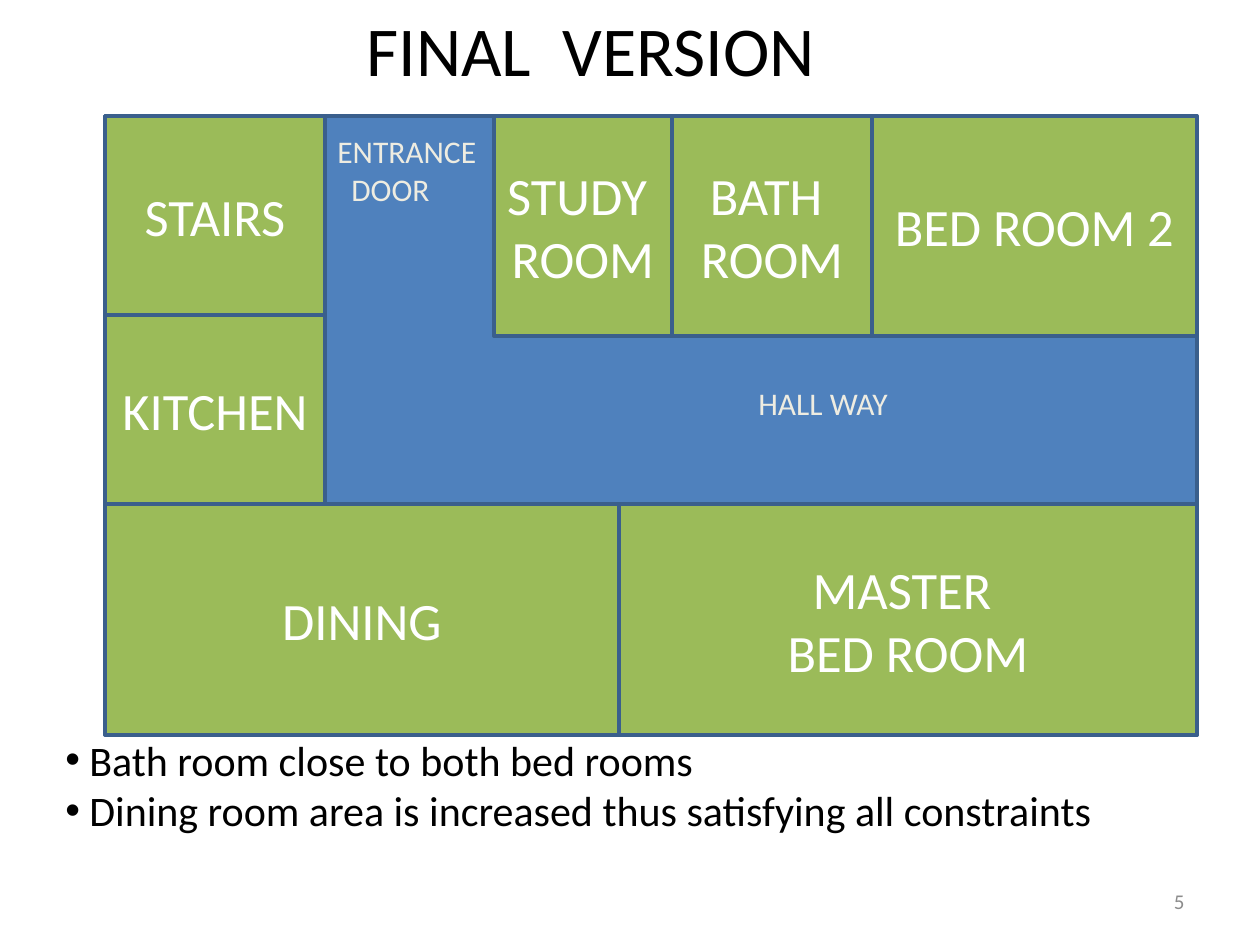
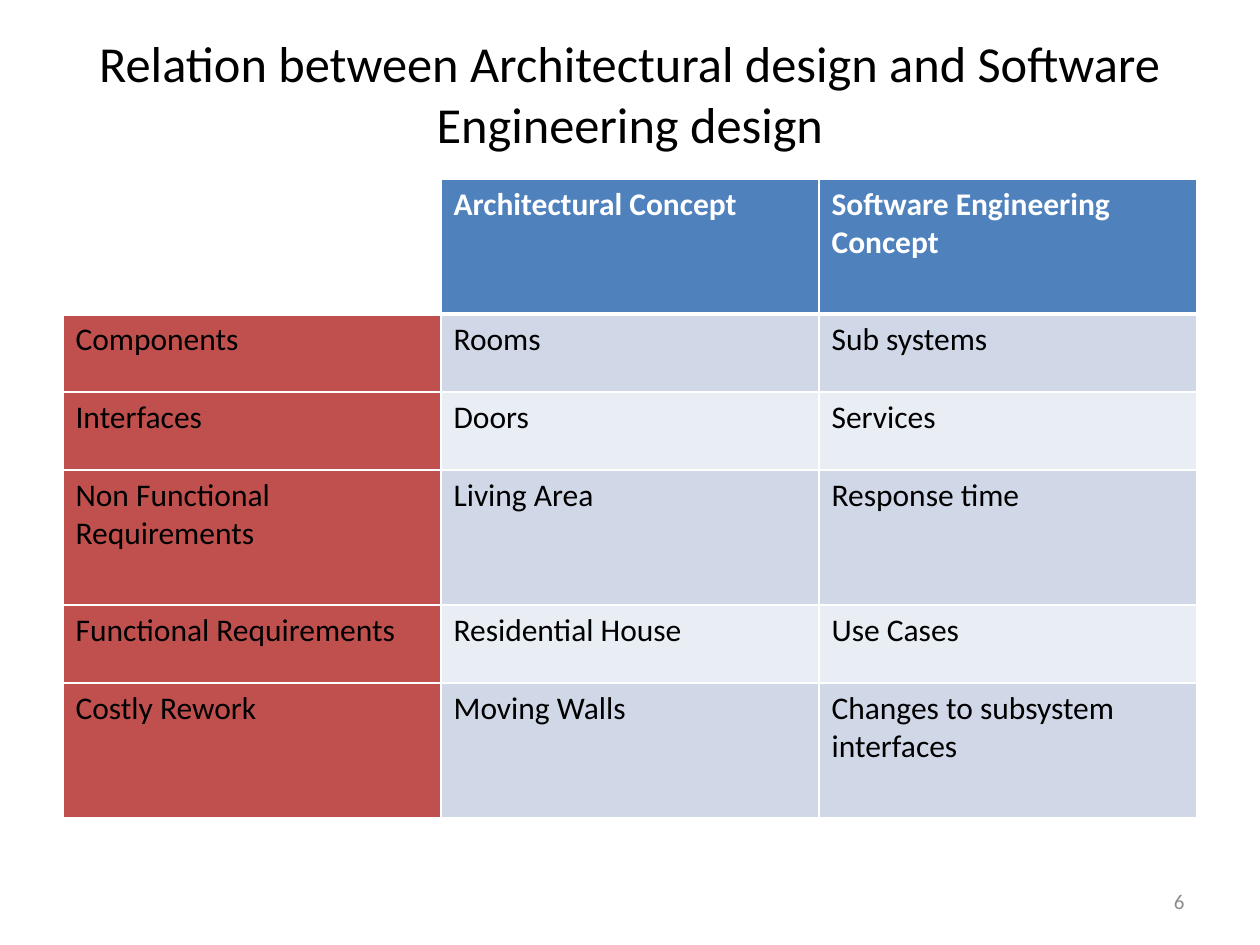
"""Build the house floor plan slide and the design comparison slide."""
from lxml import etree
from pptx import Presentation
from pptx import util as u
from pptx.dml import color
from pptx.enum import shapes, text
from pptx.oxml import ns

PIXEL = 914400 / 126
WHITE = color.RGBColor(0xFF, 0xFF, 0xFF)
BLACK = color.RGBColor(0x00, 0x00, 0x00)
CREAM = color.RGBColor(0xEE, 0xEC, 0xE1)
GREY = color.RGBColor(0x8C, 0x8C, 0x8C)
BLUE = color.RGBColor(0x4F, 0x81, 0xBD)
OUTLINE = color.RGBColor(0x3A, 0x5F, 0x8C)
GREEN = color.RGBColor(0x9B, 0xBB, 0x59)
RED = color.RGBColor(0xC0, 0x50, 0x4D)
BANDS = color.RGBColor(0xD0, 0xD8, 0xE8), color.RGBColor(0xE9, 0xED, 0xF4)

LEFT, ALCOVE, STUDY, BATH, BEDROOM, RIGHT = 105, 325, 494, 672, 872, 1197
TOP, KITCHEN, HALL, LOWER, BOTTOM = 116, 315, 336, 504, 735
MASTER = 619
ROOMS = [
    (LEFT, TOP, ALCOVE, KITCHEN, ["STAIRS"]),
    (LEFT, KITCHEN, ALCOVE, LOWER, ["KITCHEN"]),
    (LEFT, LOWER, MASTER, BOTTOM, ["DINING"]),
    (MASTER, LOWER, RIGHT, BOTTOM, ["MASTER ", "BED ROOM"]),
    (STUDY, TOP, BATH, HALL, ["STUDY ", "ROOM"]),
    (BATH, TOP, BEDROOM, HALL, ["BATH ", "ROOM"]),
    (BEDROOM, TOP, RIGHT, HALL, ["BED ROOM 2"]),
]
REMARKS = [
    "Bath room close to both bed rooms",
    "Dining room area is increased thus satisfying all constraints",
]
COMPARISON = [
    ("", "Architectural Concept", "Software Engineering Concept"),
    ("Components", "Rooms", "Sub systems"),
    ("Interfaces", "Doors", "Services"),
    ("Non Functional Requirements", "Living Area", "Response time"),
    ("Functional Requirements", "Residential House", "Use Cases"),
    ("Costly Rework", "Moving Walls", "Changes to subsystem interfaces"),
]
ROW_HEIGHTS = 135, 78, 78, 135, 78, 135
COLUMN_WIDTH = 378

CENTER, RIGHT_ALIGN = text.PP_ALIGN.CENTER, text.PP_ALIGN.RIGHT
MIDDLE = text.MSO_ANCHOR.MIDDLE


def px(length):
    """Turn pixels into EMU."""
    return u.Emu(round(length * PIXEL))


def apply(target, values):
    """Set each named attribute of the target."""
    for name, value in values.items():
        setattr(target, name, value)


def write(frame, lines, size, ink, align=None, bold=False):
    """Write the lines as paragraphs in one text style."""
    for index, line in enumerate(lines):
        paragraph = frame.paragraphs[0] if index == 0 else frame.add_paragraph()
        if align is not None:
            paragraph.alignment = align
        run = paragraph.add_run()
        run.text = line
        apply(run.font, {"name": "Calibri", "size": u.Pt(size), "bold": bold})
        run.font.color.rgb = ink


def add_label(slide, box, lines, size, ink, align=None, anchor=None, wrap=False):
    """Add a text box and return its frame."""
    frame = slide.shapes.add_textbox(*map(px, box)).text_frame
    apply(frame, {"word_wrap": wrap, "vertical_anchor": anchor})
    write(frame, lines, size, ink, align)
    return frame


def add_title(slide, box, title, size, **layout):
    """Add a black slide title."""
    add_label(slide, box, [title], size, BLACK, **layout)


def add_page_number(slide, number):
    """Add the grey page number at the lower right."""
    add_label(slide, (903, 876, 294, 50), [str(number)], 12, GREY,
              RIGHT_ALIGN, MIDDLE, True)


def add_room(slide, left, top, right, bottom, lines, fill):
    """Add an outlined floor area with its name."""
    room = slide.shapes.add_shape(
        shapes.MSO_SHAPE.RECTANGLE,
        *map(px, (left, top, right - left, bottom - top)))
    room.shadow.inherit = False
    room.fill.solid()
    room.fill.fore_color.rgb = fill
    room.line.color.rgb = OUTLINE
    room.line.width = u.Pt(2)
    room.text_frame.vertical_anchor = MIDDLE
    write(room.text_frame, lines, 30, WHITE, CENTER)


def indent(paragraph, margin, first_line=0):
    """Set the left margin and first-line offset, returning the properties."""
    properties = paragraph._p.get_or_add_pPr()
    properties.set("marL", str(px(margin)))
    properties.set("indent", str(px(first_line)))
    return properties


def add_bullets(slide, box, lines):
    """Add a bulleted list."""
    frame = add_label(slide, box, lines, 24, BLACK, wrap=True)
    for paragraph in frame.paragraphs:
        properties = indent(paragraph, 24, -24)
        etree.SubElement(properties, ns.qn("a:buFont")).set("typeface", "Arial")
        etree.SubElement(properties, ns.qn("a:buChar")).set("char", "\u2022")


def set_borders(cell, widths):
    """Give the cell white borders with the widths of its sides."""
    properties = cell._tc.get_or_add_tcPr()
    for position, (side, width) in enumerate(widths.items()):
        border = etree.Element(ns.qn(f"a:ln{side}"), w=str(u.Pt(width)))
        fill = etree.SubElement(border, ns.qn("a:solidFill"))
        etree.SubElement(fill, ns.qn("a:srgbClr")).set("val", str(WHITE))
        properties.insert(position, border)


def paint_cell(cell, row, column):
    """Fill a comparison cell by its place in the table."""
    if row == column == 0:
        cell.fill.background()
        return
    cell.fill.solid()
    if row == 0:
        cell.fill.fore_color.rgb = BLUE
    else:
        cell.fill.fore_color.rgb = RED if column == 0 else BANDS[(row - 1) % 2]


def add_comparison(slide, left, top):
    """Add the table that compares the two kinds of design."""
    columns = len(COMPARISON[0])
    table = slide.shapes.add_table(
        len(COMPARISON), columns, px(left), px(top),
        px(COLUMN_WIDTH * columns), px(sum(ROW_HEIGHTS))).table
    apply(table, {"first_row": False, "horz_banding": False})
    for column in table.columns:
        column.width = px(COLUMN_WIDTH)
    for row, (height, entries) in enumerate(zip(ROW_HEIGHTS, COMPARISON)):
        table.rows[row].height = px(height)
        header = row == 0
        for column, entry in enumerate(entries):
            cell = table.cell(row, column)
            paint_cell(cell, row, column)
            set_borders(cell, {"L": 1, "R": 1, "T": 3 if row == 1 else 1,
                               "B": 3 if header else 1})
            if entry:
                write(cell.text_frame, [entry], 18,
                      WHITE if header else BLACK, bold=header)


def build_floor_plan(slide):
    """Build the final floor plan."""
    add_room(slide, LEFT, TOP, RIGHT, BOTTOM, [], BLUE)
    for room in ROOMS:
        add_room(slide, *room, GREEN)
    add_label(slide, (746, 378, 156, 50), ["HALL WAY"], 18, CREAM)
    add_title(slide, (354, 0, 479, 97), "FINAL  VERSION", 40)
    add_bullets(slide, (53, 728, 1148, 115), REMARKS)
    entrance = add_label(slide, (325, 126, 165, 89), ["ENTRANCE", "DOOR"], 18, CREAM)
    indent(entrance.paragraphs[1], 14)
    add_page_number(slide, 5)


def build_comparison(slide):
    """Build the comparison of architecture and software."""
    add_title(slide, (63, 38, 1134, 110),
              "Relation between Architectural design and Software Engineering design",
              28.8, align=CENTER, anchor=MIDDLE, wrap=True)
    add_comparison(slide, 63, 179)
    add_page_number(slide, 6)


def main():
    """Build and save the presentation."""
    deck = Presentation()
    apply(deck, {"slide_width": px(1260), "slide_height": px(945)})
    for build in (build_floor_plan, build_comparison):
        build(deck.slides.add_slide(deck.slide_layouts[6]))
    deck.save("out.pptx")


main()
